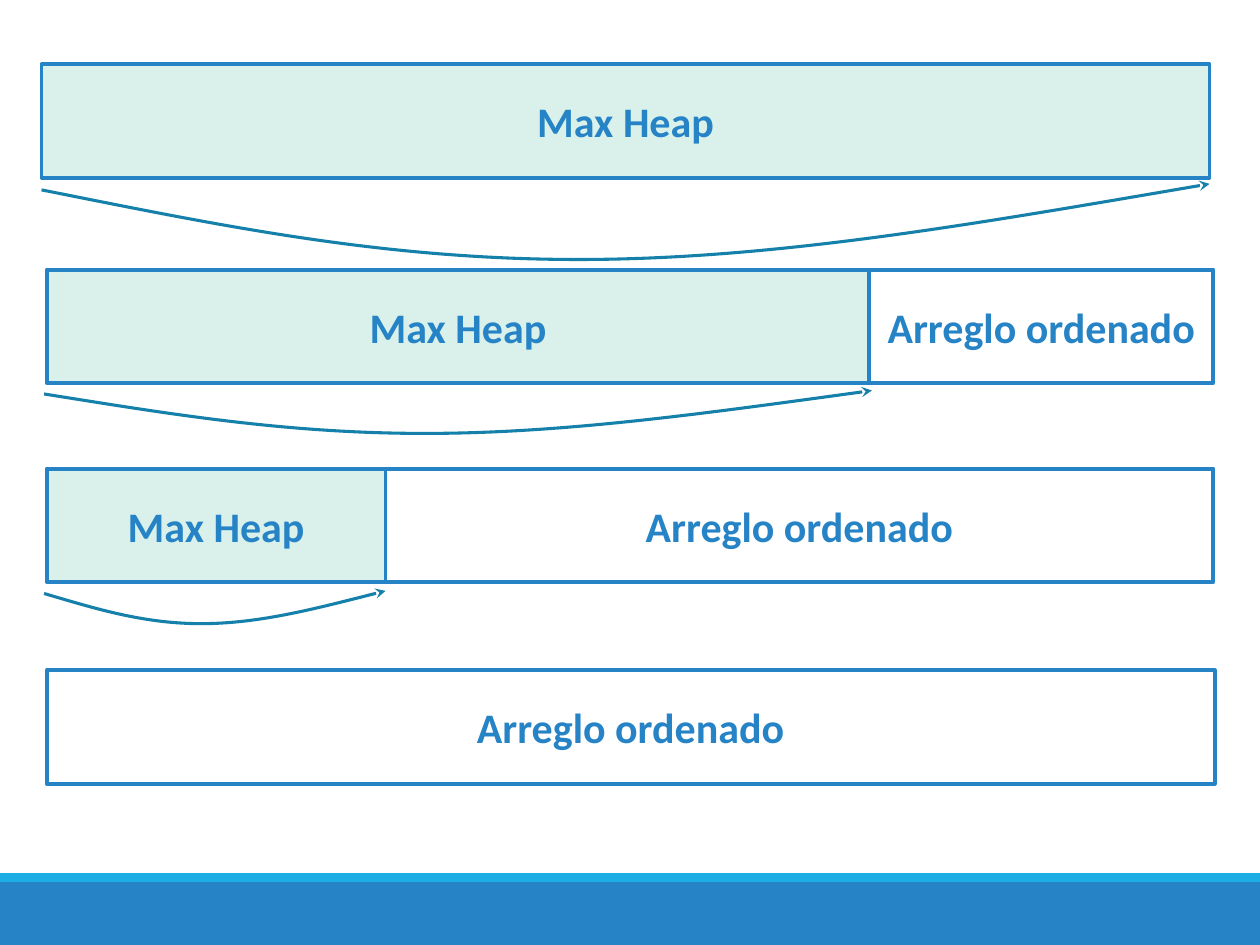
from lxml.etree import SubElement as Sub
from pptx import Presentation
from pptx.dml.color import RGBColor as Rgb
from pptx.enum.shapes import MSO_SHAPE as Shp
from pptx.enum.text import MSO_ANCHOR as Anchor, PP_ALIGN as Align
from pptx.oxml.ns import qn
from pptx.util import Inches as In, Pt

WIDE, HIGH = 10, 7.5
BLUE, CYAN, TEAL, MINT, WHITE = "2683C6", "1CADE4", "1580A9", "D9F1EA", "FFFFFF"
HEAP, DONE = ("Max Heap", MINT), ("Arreglo ordenado", WHITE)
FULL, TALL = 9.27, 0.9
ROWS = [
    {"left": 0.33, "top": 0.51, "parts": [(HEAP, FULL)]},
    {"left": 0.37, "top": 2.14, "parts": [(HEAP, 6.53), (DONE, 2.73)]},
    {"left": 0.37, "top": 3.72, "parts": [(HEAP, 2.69), (DONE, 6.57)]},
    {"left": 0.37, "top": 5.32, "parts": [(DONE, FULL)]},
]
ARCS = [(0.33, 1.46, FULL, 0.6), (0.35, 3.1, 6.57, 0.34), (0.35, 4.69, 2.71, 0.26)]
BEND = [(1, 0), (0.81, 0.5), (0.63, 1), (0.46, 1), (0.29, 1), (0.15, 0.54), (0, 0.08)]
BANDS = [(7, 0.54, BLUE), (6.93, 0.07, CYAN)]
FONT = {"name": "Calibri", "size": Pt(24), "bold": True}


def tint(code):
    """Return the colour for a hex string."""
    return Rgb.from_string(code)


def box(slide, place, fill, text=None):
    """Add a filled box, outlined and labelled when it has text."""
    shape = slide.shapes.add_shape(Shp.RECTANGLE, *map(In, place))
    shape.shadow.inherit = False
    shape.fill.solid()
    shape.fill.fore_color.rgb = tint(fill)
    if text is None:
        shape.line.fill.background()
        return
    shape.line.color.rgb = tint(BLUE)
    shape.line.width = Pt(2.25)
    frame = shape.text_frame
    frame.word_wrap, frame.vertical_anchor = True, Anchor.MIDDLE
    para = frame.paragraphs[0]
    para.text, para.alignment = text, Align.CENTER
    for key, value in FONT.items():
        setattr(para.font, key, value)
    para.font.color.rgb = tint(BLUE)


def arc(slide, left, top, wide, high):
    """Add a sagging Bezier curve with an arrowhead at its right end."""
    dots = [(In(left + x * wide), In(top + y * high)) for x, y in BEND]
    build = slide.shapes.build_freeform(*dots[0])
    build.add_line_segments(dots[1:], close=False)
    shape = build.convert_to_shape()
    shape.shadow.inherit = False
    shape.fill.background()
    shape.line.color.rgb = tint(TEAL)
    shape.line.width = Pt(1.75)
    tree = shape.element
    route = next(tree.iter(qn("a:path")))
    steps = route.findall(qn("a:lnTo"))
    for start in range(0, len(steps), 3):
        curve = Sub(route, qn("a:cubicBezTo"))
        for step in steps[start:start + 3]:
            curve.append(step[0])
            route.remove(step)
    Sub(next(tree.iter(qn("a:ln"))), qn("a:headEnd"), type="stealth", w="med", len="med")


def main():
    """Build and save the heap sort slide."""
    deck = Presentation()
    deck.slide_width, deck.slide_height = In(WIDE), In(HIGH)
    slide = deck.slides.add_slide(deck.slide_layouts[6])
    for top, high, fill in BANDS:
        box(slide, (0, top, WIDE, high), fill)
    for row in ROWS:
        left = row["left"]
        for (text, fill), wide in row["parts"]:
            box(slide, (left, row["top"], wide, TALL), fill, text)
            left += wide
    for place in ARCS:
        arc(slide, *place)
    deck.save("out.pptx")


if __name__ == "__main__":
    main()
